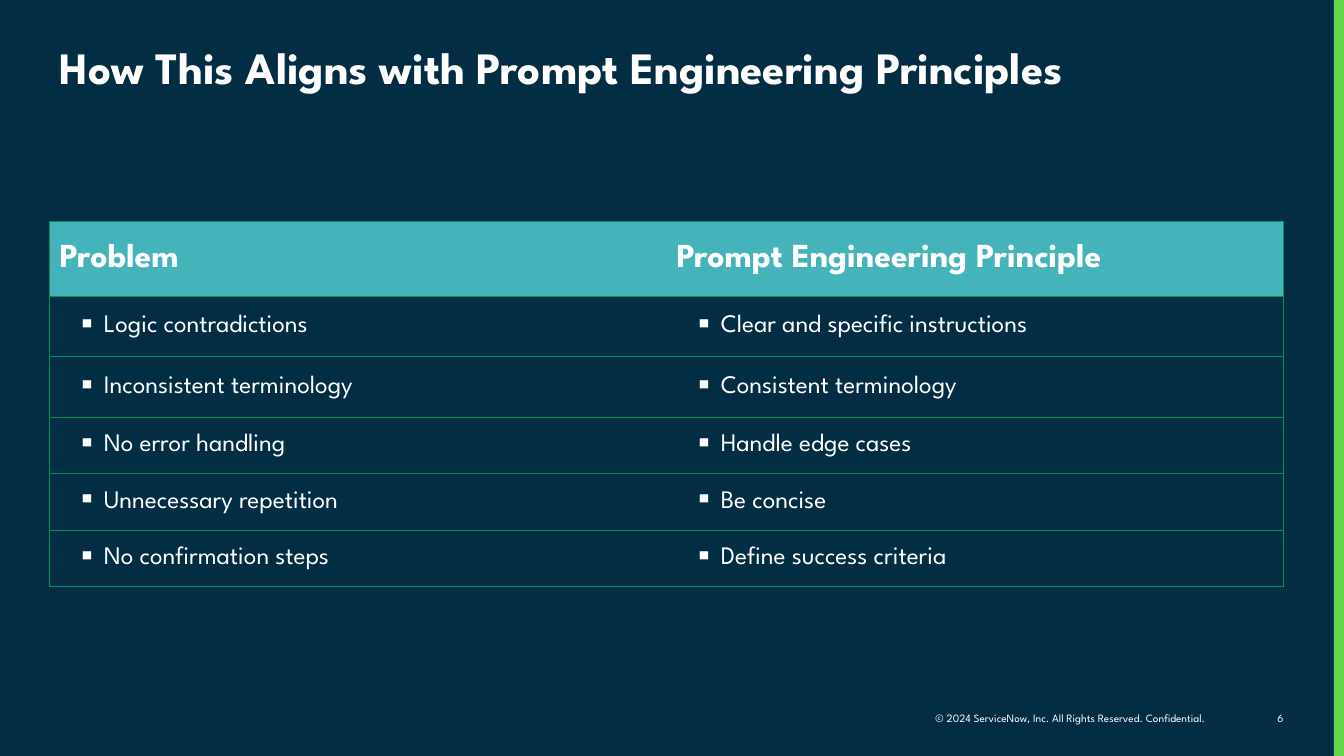
import dataclasses

import lxml.etree
import pptx
import pptx.dml.color
import pptx.enum.shapes
import pptx.enum.text
import pptx.oxml.ns
import pptx.util

Inches = pptx.util.Inches
Pt = pptx.util.Pt
ALIGN = pptx.enum.text.PP_ALIGN
ANCHOR = pptx.enum.text.MSO_ANCHOR


@dataclasses.dataclass(frozen=True)
class Theme:
    face: str = "League Spartan"
    navy: str = "032D42"
    white: str = "FFFFFF"
    lime: str = "62D84E"
    teal: str = "45B4BA"
    green: str = "009156"
    title: int = 32
    head: int = 24
    body: int = 18
    small: int = 8


THEME = Theme()
ROWS = [
    ("Problem", "Prompt Engineering Principle"),
    ("Logic contradictions", "Clear and specific instructions"),
    ("Inconsistent terminology", "Consistent terminology"),
    ("No error handling", "Handle edge cases"),
    ("Unnecessary repetition", "Be concise"),
    ("No confirmation steps", "Define success criteria"),
]
TALLS = [0.74, 0.6, 0.6, 0.56, 0.56, 0.56]


def color(code):
    return pptx.dml.color.RGBColor.from_string(code)


def style(par, size, bold=False):
    font = par.font
    font.name, font.size, font.bold = THEME.face, Pt(size), bold
    font.color.rgb = color(THEME.white)


def add_tag(parent, tag, **attrs):
    return lxml.etree.SubElement(parent, pptx.oxml.ns.qn(tag), attrs)


def add_edge(cell, side, shown):
    """Draw one cell border, or clear it."""
    line = add_tag(cell._tc.get_or_add_tcPr(), "a:ln" + side, w=str(Pt(0.5)))
    if shown:
        add_tag(add_tag(line, "a:solidFill"), "a:srgbClr", val=THEME.green)
    else:
        add_tag(line, "a:noFill")


def add_bullet(par):
    props = par._p.get_or_add_pPr()
    props.set("marL", str(Inches(0.44)))
    props.set("indent", str(Inches(-0.26)))
    par.space_after = Pt(2)
    add_tag(props, "a:buChar", char="▪")


def add_title(slide, box, text):
    title = slide.shapes.title
    title.left, title.top, title.width, title.height = map(Inches, box)
    frame = title.text_frame
    frame.text = text
    frame.word_wrap = True
    frame.auto_size = pptx.enum.text.MSO_AUTO_SIZE.NONE
    frame.vertical_anchor = ANCHOR.TOP
    par = frame.paragraphs[0]
    par.alignment = ALIGN.LEFT
    par.line_spacing = 0.9
    style(par, THEME.title, True)


def add_grid(slide, box):
    shape = slide.shapes.add_table(len(ROWS), 2, *map(Inches, box))
    table = shape.table
    table.first_row = table.horz_banding = False
    for col in table.columns:
        col.width = Inches(box[2] / 2)
    for i, (row, tall) in enumerate(zip(ROWS, TALLS)):
        table.rows[i].height = Inches(tall)
        for j, text in enumerate(row):
            cell = table.cell(i, j)
            cell.text = text
            cell.vertical_anchor = ANCHOR.MIDDLE
            # Outer frame and row rules, no middle rule
            for side, shown in zip("LRTB", (j == 0, j == 1, True, True)):
                add_edge(cell, side, shown)
            par = cell.text_frame.paragraphs[0]
            if i == 0:
                cell.fill.solid()
                cell.fill.fore_color.rgb = color(THEME.teal)
                style(par, THEME.head, True)
            else:
                cell.fill.background()
                add_bullet(par)
                style(par, THEME.body)


def add_note(slide, box, text, anchor):
    frame = slide.shapes.add_textbox(*map(Inches, box)).text_frame
    frame.text = text
    frame.word_wrap = True
    frame.vertical_anchor = anchor
    par = frame.paragraphs[0]
    par.alignment = ALIGN.RIGHT
    style(par, THEME.small)


def add_stripe(slide, box):
    kind = pptx.enum.shapes.MSO_SHAPE.RECTANGLE
    stripe = slide.shapes.add_shape(kind, *map(Inches, box))
    stripe.shadow.inherit = False
    stripe.fill.solid()
    stripe.fill.fore_color.rgb = color(THEME.lime)
    stripe.line.fill.background()


def main():
    deck = pptx.Presentation()
    deck.slide_width, deck.slide_height = Inches(13.33), Inches(7.5)
    slide = deck.slides.add_slide(deck.slide_layouts[5])
    slide.background.fill.solid()
    slide.background.fill.fore_color.rgb = color(THEME.navy)

    # Footer and edge stripe
    add_note(slide, (8.68, 7.01, 3.38, 0.23),
             "© 2024 ServiceNow, Inc. All Rights Reserved. Confidential.",
             ANCHOR.MIDDLE)
    add_note(slide, (12.1, 7.01, 0.73, 0.25), "6", ANCHOR.TOP)
    add_stripe(slide, (13.23, 0, 0.1, 7.5))

    # Title and table
    add_title(slide, (0.49, 0.4, 12.24, 1.31),
              "How This Aligns with Prompt Engineering Principles")
    add_grid(slide, (0.49, 2.2, 12.24, sum(TALLS)))
    deck.save("out.pptx")


if __name__ == "__main__":
    main()
